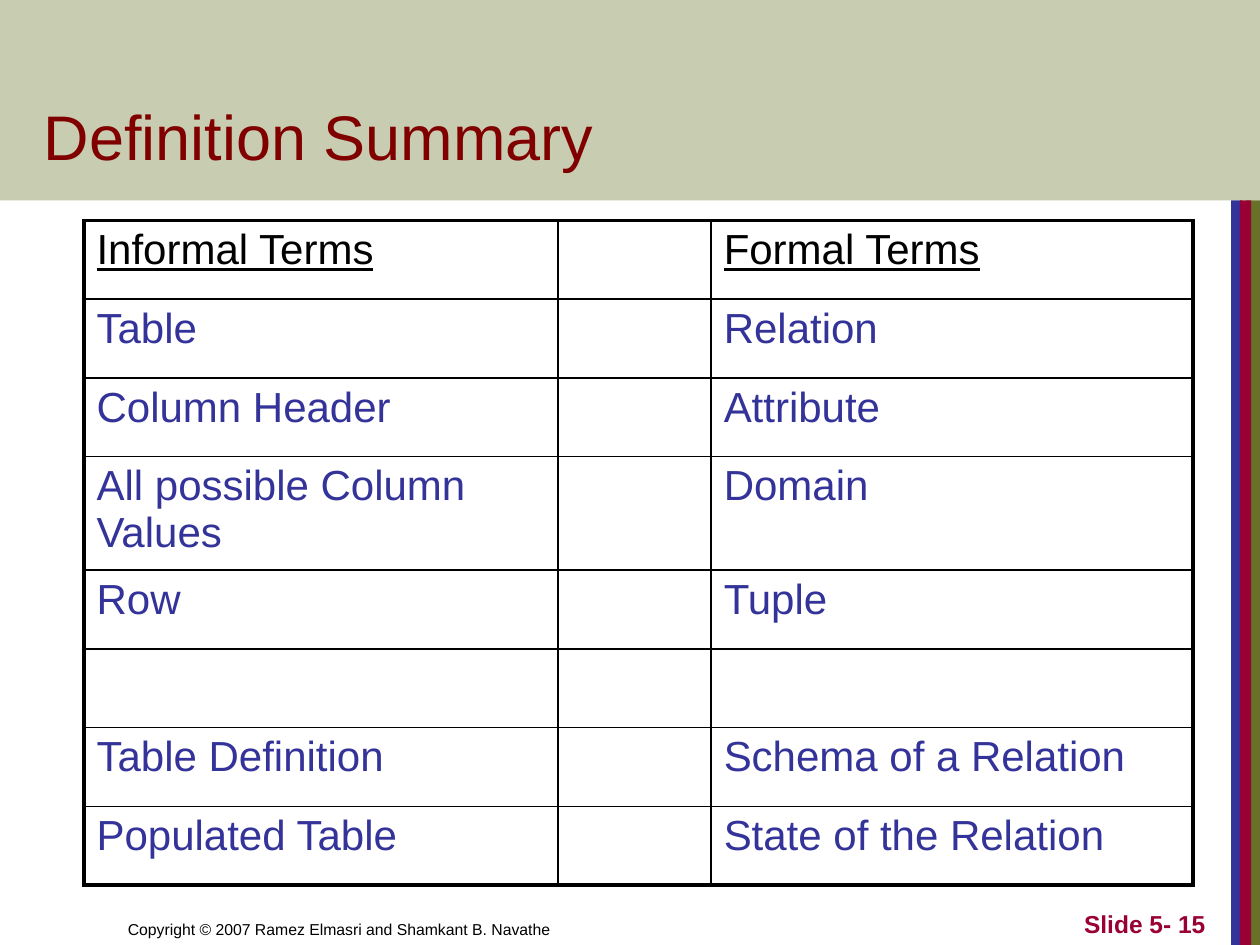
from dataclasses import dataclass

from lxml.etree import SubElement
from pptx import Presentation
from pptx.dml.color import RGBColor
from pptx.enum.shapes import MSO_SHAPE
from pptx.enum.text import MSO_ANCHOR, PP_ALIGN
from pptx.oxml.ns import qn
from pptx.util import Pt


@dataclass(frozen=True)
class Theme:
    font: str = "Arial"
    olive: str = "677228"
    blue: str = "333399"
    crimson: str = "990033"
    maroon: str = "800000"
    black: str = "000000"
    title: int = 36
    body: int = 24
    number: int = 14
    footer: int = 9
    outer: float = 2.25
    inner: float = 1


THEME = Theme()
BAND_HEIGHT = 114.5
COLUMNS = (270.8, 87.6, 275.4)
ROW_HEIGHT = 45
TALL_ROW_HEIGHT = 60.8
TERMS = [
    ("Informal Terms", "", "Formal Terms"),
    ("Table", "", "Relation"),
    ("Column Header", "", "Attribute"),
    ("All possible Column Values", "", "Domain"),
    ("Row", "", "Tuple"),
    ("", "", ""),
    ("Table Definition", "", "Schema of a Relation"),
    ("Populated Table", "", "State of the Relation"),
]
TALL_ROW = 3


def style(p, size, color, bold=False):
    p.font.name = THEME.font
    p.font.size = Pt(size)
    p.font.bold = bold
    p.font.color.rgb = RGBColor.from_string(color)


def add_rect(s, x, y, w, h, color, alpha=None):
    sp = s.shapes.add_shape(MSO_SHAPE.RECTANGLE, Pt(x), Pt(y), Pt(w), Pt(h))
    sp.shadow.inherit = False
    sp.fill.solid()
    sp.fill.fore_color.rgb = RGBColor.from_string(color)
    sp.line.fill.background()
    if alpha is not None:
        clr = sp._element.spPr.find(qn("a:solidFill"))[0]
        SubElement(clr, qn("a:alpha"), val=str(alpha * 1000))


def add_text(s, x, y, w, h, text, size, color, bold=False, align=PP_ALIGN.LEFT):
    tf = s.shapes.add_textbox(Pt(x), Pt(y), Pt(w), Pt(h)).text_frame
    tf.word_wrap = True
    tf.vertical_anchor = MSO_ANCHOR.BOTTOM
    p = tf.paragraphs[0]
    p.text = text
    p.alignment = align
    style(p, size, color, bold)


def set_borders(cell, widths):
    tcPr = cell._tc.get_or_add_tcPr()
    for side, width in widths.items():
        ln = SubElement(tcPr, qn(f"a:ln{side}"), w=str(Pt(width)))
        fill = SubElement(ln, qn("a:solidFill"))
        SubElement(fill, qn("a:srgbClr"), val=THEME.black)


def add_terms_table(s, x, y):
    last_row, last_col = len(TERMS) - 1, len(COLUMNS) - 1
    height = last_row * ROW_HEIGHT + TALL_ROW_HEIGHT
    table = s.shapes.add_table(
        len(TERMS), len(COLUMNS), Pt(x), Pt(y), Pt(sum(COLUMNS)), Pt(height)
    ).table
    table.first_row = table.horz_banding = False
    for column, width in zip(table.columns, COLUMNS):
        column.width = Pt(width)
    for i, terms in enumerate(TERMS):
        table.rows[i].height = Pt(TALL_ROW_HEIGHT if i == TALL_ROW else ROW_HEIGHT)
        for j, term in enumerate(terms):
            cell = table.cell(i, j)
            edges = {"L": j == 0, "R": j == last_col, "T": i == 0, "B": i == last_row}
            set_borders(cell, {side: THEME.outer if edge else THEME.inner
                               for side, edge in edges.items()})
            cell.fill.background()
            p = cell.text_frame.paragraphs[0]
            p.text = term
            style(p, THEME.body, THEME.black if i == 0 else THEME.blue)
            p.font.underline = i == 0


def main():
    prs = Presentation()
    prs.slide_width, prs.slide_height = Pt(720), Pt(540)
    s = prs.slides.add_slide(prs.slide_layouts[6])

    for x, w, color in ((712, 8, THEME.olive), (703.5, 6.5, THEME.blue),
                        (708.5, 6.5, THEME.crimson)):
        add_rect(s, x, BAND_HEIGHT, w, 540 - BAND_HEIGHT, color)
    add_rect(s, 0, 0, 720, BAND_HEIGHT, THEME.olive, alpha=36)

    add_text(s, 66, 504, 354, 36,
             "Copyright © 2007 Ramez Elmasri and Shamkant B. Navathe",
             THEME.footer, THEME.black)
    add_text(s, 546, 504, 150, 36, "Slide 5- 15", THEME.number, THEME.crimson,
             bold=True, align=PP_ALIGN.RIGHT)
    add_text(s, 18, 24, 614, 78.5, "Definition Summary", THEME.title, THEME.maroon)
    add_terms_table(s, 48, 126)

    prs.save("out.pptx")


if __name__ == "__main__":
    main()
